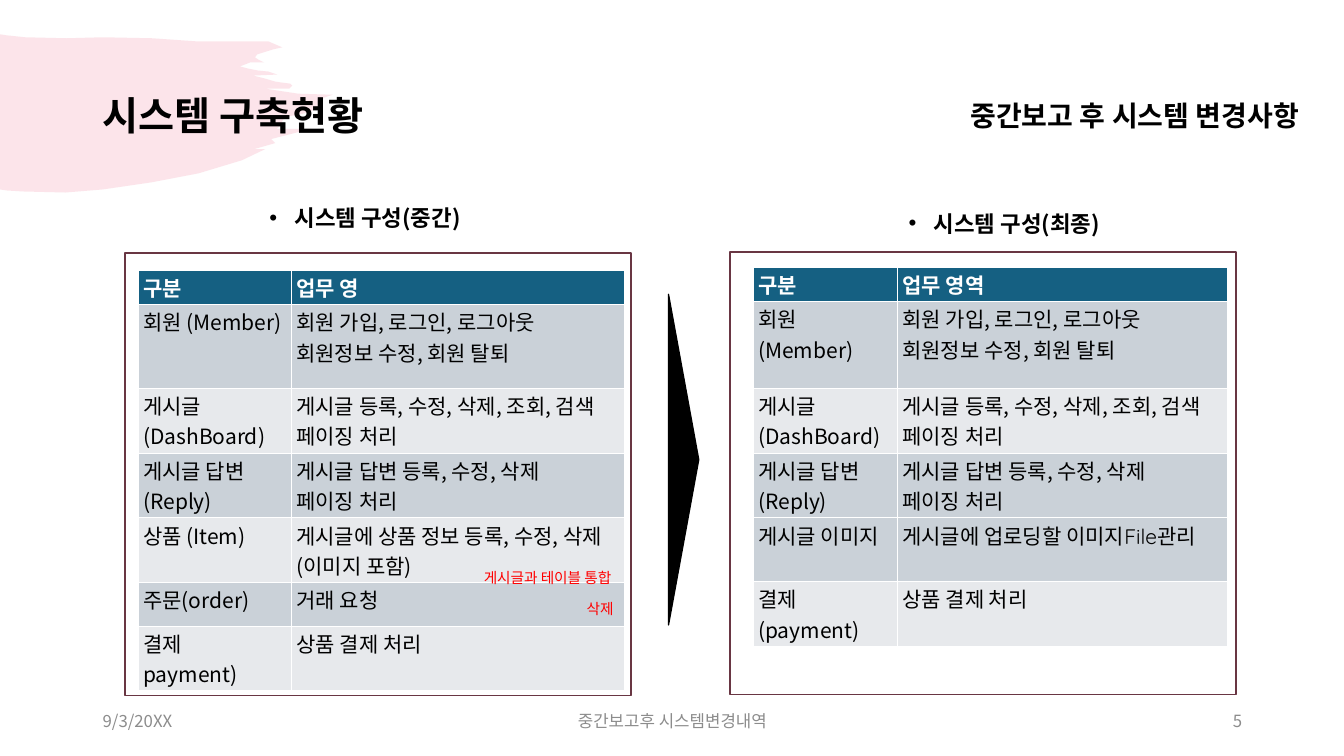
from lxml import etree
from pptx import Presentation
from pptx.dml.color import RGBColor
from pptx.enum.shapes import MSO_SHAPE as SHAPE
from pptx.enum.text import MSO_ANCHOR as ANCHOR, MSO_AUTO_SIZE as AUTO, PP_ALIGN as ALIGN
from pptx.oxml import parse_xml
from pptx.oxml.ns import nsdecls, qn
from pptx.util import Inches, Pt

COLORS = {
    "brush": "F07C98", "text": "000000", "white": "FFFFFF", "muted": "8C8C8C",
    "header": "156082", "dark": "CAD1D8", "light": "E7E9EC",
    "frame": "693643", "note": "FF0000",
}
KOREAN, LATIN = "Noto Sans CJK KR", "Quicksand"

# Outline of the brush stroke, in inches on the slide
BRUSH = [
    (0, 0.34), (0.06, 0.35), (0.25, 0.37), (0.66, 0.38), (1.02, 0.37), (1.51, 0.38),
    (1.94, 0.41), (2.48, 0.41), (2.66, 0.41), (2.8, 0.47), (2.71, 0.49), (2.55, 0.54),
    (2.53, 0.57), (2.56, 0.59), (2.62, 0.62), (2.48, 0.62), (2.38, 0.66), (2.46, 0.68),
    (2.56, 0.7), (2.66, 0.71), (2.75, 0.74), (2.51, 0.75), (2.63, 0.78), (2.73, 0.81),
    (2.8, 0.82), (2.88, 0.83), (2.9, 0.85), (2.87, 0.88), (2.84, 0.88), (2.63, 0.88),
    (2.96, 0.93), (3.3, 0.94), (3.21, 0.97), (3.18, 1.06), (3.07, 1.11), (3, 1.13),
    (2.83, 1.16), (2.8, 1.2), (2.78, 1.25), (2.74, 1.28), (3.08, 1.28), (2.69, 1.38),
    (2.73, 1.42), (2.52, 1.48), (2.63, 1.48), (2.4, 1.59), (1.97, 1.72), (1.5, 1.81),
    (1.02, 1.88), (0.65, 1.91), (0.23, 1.9), (0.07, 1.89), (0, 1.88),
]

# Table rows that both stages share
SHARED = [
    ("회원 (Member)", "회원 가입, 로그인, 로그아웃\n회원정보 수정, 회원 탈퇴"),
    ("게시글\n(DashBoard)", "게시글 등록, 수정, 삭제, 조회, 검색 페이징 처리"),
]
REPLY = "게시글 답변 등록, 수정, 삭제\n페이징 처리"
INTERIM = [("구분", "업무 영"), *SHARED,
           ("게시글 답변(Reply)", REPLY),
           ("상품 (Item)", "게시글에 상품 정보 등록, 수정, 삭제(이미지 포함)"),
           ("주문(order)", "거래 요청"),
           ("결제\npayment)", "상품 결제 처리")]
FINAL = [("구분", "업무 영역"), *SHARED,
         ("게시글 답변\n(Reply)", REPLY),
         ("게시글 이미지", "게시글에 업로딩할 이미지File관리"),
         ("결제\n(payment)", "상품 결제 처리")]


def rgb(name):
    return RGBColor.from_string(COLORS[name])


def write(tf, text, size, color="text", bold=False, font=KOREAN, align=ALIGN.LEFT,
          spacing=1.0, after=0, bullet=False):
    for i, line in enumerate(text.split("\n")):
        p = tf.paragraphs[0] if i == 0 else tf.add_paragraph()
        p.alignment, p.line_spacing = align, spacing
        p.space_before, p.space_after = Pt(0), Pt(after)
        if bullet:
            pPr = p._p.get_or_add_pPr()
            pPr.set("marL", str(Inches(0.25)))
            pPr.set("indent", str(-Inches(0.25)))
            etree.SubElement(pPr, qn("a:buFont")).set("typeface", "Arial")
            etree.SubElement(pPr, qn("a:buChar")).set("char", "•")
        r = p.add_run()
        r.text = line
        r.font.size, r.font.bold, r.font.name = Pt(size), bold, font
        r.font.color.rgb = rgb(color)
        latin = r.font._element.find(qn("a:latin"))
        latin.addnext(parse_xml(f'<a:ea {nsdecls("a")} typeface="{KOREAN}"/>'))


def place(sp, box, anchor=ANCHOR.TOP):
    sp.left, sp.top, sp.width, sp.height = map(Inches, box)
    tf = sp.text_frame
    tf.word_wrap, tf.auto_size, tf.vertical_anchor = True, AUTO.NONE, anchor
    return tf


def add_text(slide, box, text, size, anchor=ANCHOR.MIDDLE, **fmt):
    sp = slide.shapes.add_textbox(*map(Inches, box))
    write(place(sp, box, anchor), text, size, **fmt)
    return sp


def add_brush(slide):
    points = [(Inches(x), Inches(y)) for x, y in BRUSH]
    builder = slide.shapes.build_freeform(*points[0])
    builder.add_line_segments(points[1:], close=True)
    sp = builder.convert_to_shape()
    sp.shadow.inherit = False
    sp.fill.solid()
    sp.fill.fore_color.rgb = rgb("brush")
    sp.line.fill.background()
    color = sp._element.spPr.find(qn("a:solidFill"))[0]
    etree.SubElement(color, qn("a:alpha")).set("val", "20000")


def add_header(slide):
    add_text(slide, (0.92, 0.44, 3.7, 1.45), "시스템 구축현황", 28, bold=True, spacing=0.9)
    tf = place(slide.shapes.title, (8.38, 0.72, 4.67, 0.89), ANCHOR.MIDDLE)
    write(tf, "중간보고 후 시스템 변경사항 ", 20, bold=True, align=ALIGN.RIGHT, spacing=0.9)


def set_borders(cell, top, bottom):
    tcPr = cell._tc.get_or_add_tcPr()
    widths = {"lnL": 0.5, "lnR": 0.5, "lnT": top, "lnB": bottom}
    for i, (side, width) in enumerate(widths.items()):
        tcPr.insert(i, parse_xml(
            f'<a:{side} {nsdecls("a")} w="{Pt(width)}"><a:solidFill>'
            f'<a:srgbClr val="{COLORS["white"]}"/></a:solidFill></a:{side}>'))


def add_grid(slide, box, rows, widths, heights, dark_rows, latin_row=None):
    frame = slide.shapes.add_table(len(rows), len(widths), *map(Inches, box))
    table = frame.table
    table.first_row = table.horz_banding = False
    for col, width in zip(table.columns, widths):
        col.width = Inches(width)
    for i, (texts, height) in enumerate(zip(rows, heights)):
        table.rows[i].height = Inches(height)
        fill = "header" if i == 0 else "dark" if i in dark_rows else "light"
        for cell, text in zip(table.rows[i].cells, texts):
            cell.margin_left = cell.margin_right = Inches(0.05)
            cell.margin_top = cell.margin_bottom = Inches(0.02)
            cell.fill.solid()
            cell.fill.fore_color.rgb = rgb(fill)
            set_borders(cell, 1.5 if i == 1 else 0.5, 1.5 if i == 0 else 0.5)
            write(cell.text_frame, text, 15, color="white" if i == 0 else "text",
                  bold=i == 0, font=LATIN if i == latin_row else KOREAN)


def add_stage(slide, box, heading, heading_box, title, inset, **grid):
    # Bulleted heading, table and the frame around it
    x, y, w, h = box
    write(place(heading, heading_box), title, 16, bold=True, align=ALIGN.CENTER, bullet=True)
    dx, dy = inset
    add_grid(slide, (x + dx, y + dy, sum(grid["widths"]), sum(grid["heights"])), **grid)
    sp = slide.shapes.add_shape(SHAPE.RECTANGLE, *map(Inches, box))
    sp.shadow.inherit = False
    sp.fill.background()
    sp.line.color.rgb, sp.line.width = rgb("frame"), Pt(1)


def add_notes_in_red(slide):
    for box, text in [((4.7, 5.59, 1.61, 0.28), "게시글과 테이블 통합"),
                      ((5.72, 5.9, 0.54, 0.28), "삭제")]:
        sp = add_text(slide, box, text, 10.5, ANCHOR.TOP, color="note", font=LATIN)
        sp.text_frame.word_wrap = False
        sp.text_frame.auto_size = AUTO.SHAPE_TO_FIT_TEXT


def add_pointer(slide, box):
    sp = slide.shapes.add_shape(SHAPE.ISOSCELES_TRIANGLE, *map(Inches, box))
    sp.rotation = 90
    sp.shadow.inherit = False
    sp.fill.solid()
    sp.fill.fore_color.rgb = sp.line.color.rgb = rgb("text")
    sp.line.width = Pt(1)


def add_footer(slide, y=6.95, h=0.4):
    for x, w, text, align in [(0.92, 3, "9/3/20XX", ALIGN.LEFT),
                              (4.42, 4.5, "중간보고후 시스템변경내역", ALIGN.CENTER),
                              (9.42, 3, "5", ALIGN.RIGHT)]:
        add_text(slide, (x, y, w, h), text, 12, color="muted", align=align, after=6)


def main():
    prs = Presentation()
    prs.slide_width, prs.slide_height = Inches(13.33), Inches(7.5)
    slide = prs.slides.add_slide(prs.slide_layouts[3])
    left, right = slide.placeholders[1], slide.placeholders[2]
    add_brush(slide)
    add_header(slide)
    add_stage(slide, (1.24, 2.51, 5.02, 4.39), left, (0.92, 1.98, 5.4, 0.4),
              "시스템 구성(중간)", (0.13, 0.17), rows=INTERIM, widths=(1.52, 3.3),
              heights=(0.24, 0.83, 0.62, 0.62, 0.62, 0.43, 0.43), dark_rows=(1, 3, 5))
    add_stage(slide, (7.24, 2.5, 5.02, 4.39), right, (8.55, 2.03, 2.82, 0.39),
              "시스템 구성(최종)", (0.23, 0.15), rows=FINAL, widths=(1.43, 3.27),
              heights=(0.31, 0.86, 0.63, 0.62, 0.63, 0.56), dark_rows=(1, 3, 4), latin_row=4)
    add_notes_in_red(slide)
    add_pointer(slide, (5.14, 4.41, 3.28, 0.3))
    add_footer(slide)
    prs.save("out.pptx")


if __name__ == "__main__":
    main()
